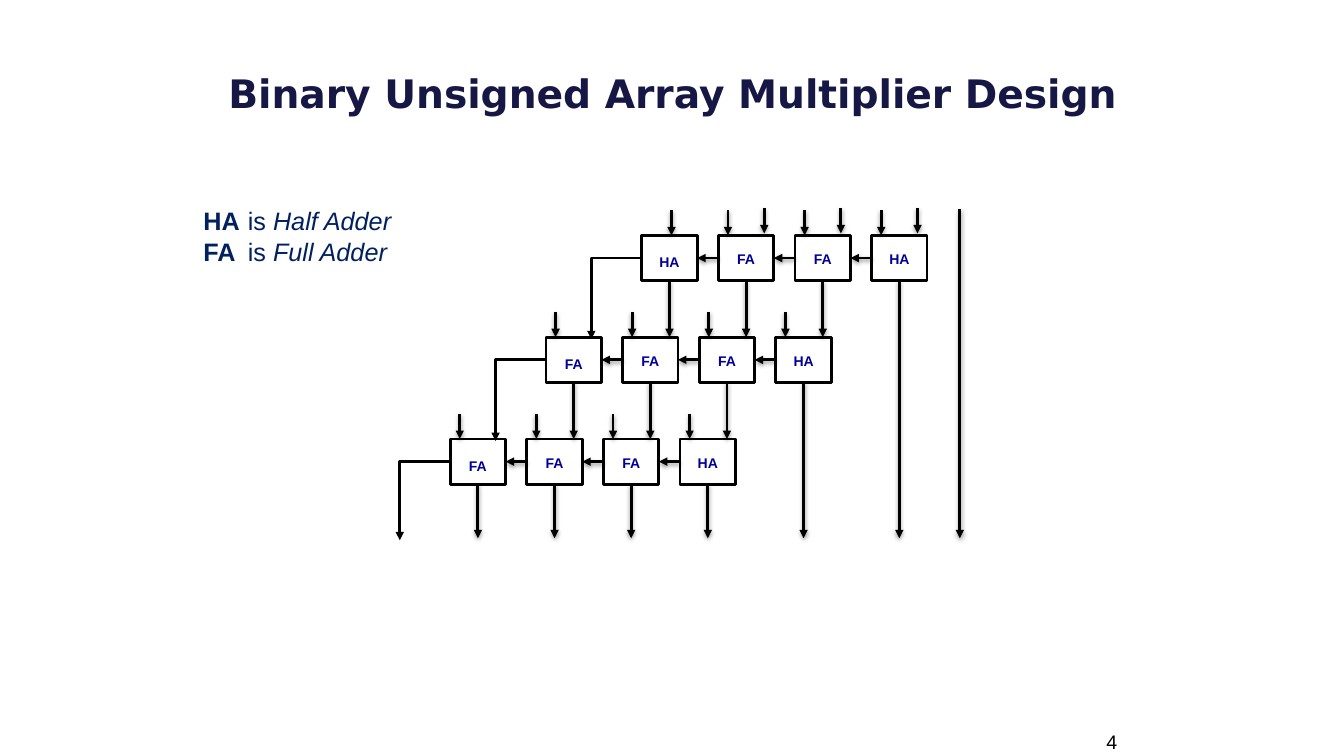
import lxml.etree
import pptx
import pptx.dml.color
import pptx.enum.shapes
import pptx.enum.text
import pptx.oxml.ns
import pptx.util

Inches = pptx.util.Inches
Pt = pptx.util.Pt
qn = pptx.oxml.ns.qn
Align = pptx.enum.text.PP_ALIGN
Anchor = pptx.enum.text.MSO_ANCHOR
Link = pptx.enum.shapes.MSO_CONNECTOR


def color(code):
    return pptx.dml.color.RGBColor.from_string(code)


def child(parent, tag, **attrs):
    return lxml.etree.SubElement(parent, qn(tag), **attrs)


class Sketch:
    font = "Arial"
    ink = "000000"
    label = "000099"
    weight = 2

    def __init__(self, slide):
        self.slide = slide

    def run(self, para, words, size, code, bold=False, italic=False, font=None):
        run = para.add_run()
        run.text = words
        run.font.name = font or self.font
        run.font.size = Pt(size)
        run.font.bold = bold
        run.font.italic = italic
        run.font.color.rgb = color(code)

    def text(self, x, y, w, h, lines, align=Align.LEFT, anchor=Anchor.TOP,
             wrap=True, tab=None):
        """Each line is a list of argument tuples for run()."""
        box = self.slide.shapes.add_textbox(Inches(x), Inches(y), Inches(w), Inches(h))
        frame = box.text_frame
        frame.word_wrap = wrap
        frame.vertical_anchor = anchor
        for i, line in enumerate(lines):
            para = frame.paragraphs[0] if i == 0 else frame.add_paragraph()
            para.alignment = align
            if tab:
                stops = child(para._p.get_or_add_pPr(), "a:tabLst")
                child(stops, "a:tab", pos=str(Inches(tab)), algn="l")
            for args in line:
                self.run(para, *args)

    def adder(self, x, y, w, h, name, drop):
        """Box centred on x, y; drop lowers its label."""
        box = self.slide.shapes.add_shape(
            pptx.enum.shapes.MSO_SHAPE.RECTANGLE,
            Inches(x - w / 2), Inches(y - h / 2), Inches(w), Inches(h))
        box.shadow.inherit = False
        box.fill.background()
        box.line.color.rgb = color(self.ink)
        box.line.width = Pt(self.weight)
        frame = box.text_frame
        frame.margin_left = frame.margin_right = frame.margin_bottom = 0
        frame.margin_top = Inches(2 * drop)
        frame.vertical_anchor = Anchor.MIDDLE
        frame.paragraphs[0].alignment = Align.CENTER
        self.run(frame.paragraphs[0], name, 10, self.label, True)
        return box

    def wire(self, x1, y1, x2, y2, kind=Link.STRAIGHT, shade=True):
        wire = self.slide.shapes.add_connector(
            kind, Inches(x1), Inches(y1), Inches(x2), Inches(y2))
        wire.line.color.rgb = color(self.ink)
        wire.line.width = Pt(self.weight)
        props = wire.element.spPr
        child(props.find(qn("a:ln")), "a:tailEnd", type="triangle")
        effects = child(props, "a:effectLst")
        if shade:
            shadow = child(effects, "a:outerShdw", blurRad=str(Pt(3.1)),
                           dist=str(Pt(1.6)), dir="5400000", rotWithShape="0")
            tint = child(shadow, "a:srgbClr", val=self.ink)
            child(tint, "a:alpha", val="38000")
        return wire

    def bend(self, x1, y1, x2, y2):
        """One-corner arrow going left, then down."""
        wire = self.wire(x1, y1, x2, y2, Link.ELBOW, False)
        props = wire.element.spPr
        props.find(qn("a:prstGeom")).set("prst", "bentConnector2")
        frame = props.find(qn("a:xfrm"))
        frame.attrib.pop("flipH", None)
        frame.set("rot", "10800000")
        frame.set("flipV", "1")


# Grid of adders: each row shifts left and down
ROWS = [["HA", "FA", "FA", "HA"], ["HA", "FA", "FA", "FA"], ["HA", "FA", "FA", "FA"]]
LEFT, TOP = 8.92, 2.56
STEP, SHIFT, DROP = 0.76, 0.95, 1.01
WIDE, HIGH = 0.55, 0.45
PORT = 0.18     # offset of an input from the box centre
STUB = 0.25     # length of an input arrow
FLOOR = 5.34    # where the product bits end


def draw_array(art):
    for r, names in enumerate(ROWS):
        y = TOP + r * DROP
        top, bottom = y - HIGH / 2, y + HIGH / 2
        final = r == len(ROWS) - 1
        below = FLOOR if final else top + DROP
        prior = None
        for c, name in enumerate(names):
            x = LEFT - r * SHIFT - c * STEP
            last = c == len(names) - 1
            box = art.adder(x, y, WIDE, HIGH, name, 0.04 if last else 0.01)

            # Operand inputs
            if r == 0 and last:
                ports = [0.02]
            elif r == 0:
                ports = [-PORT, PORT]
            else:
                ports = [-PORT]
            for port in ports:
                lift = 0.02 if port == PORT else 0
                art.wire(x + port, top - STUB - lift, x + port, top - lift)

            # Carry from the box on the right
            if prior:
                carry = art.wire(x + STEP - WIDE / 2, y, x + WIDE / 2, y)
                carry.begin_connect(prior, 1)
                carry.end_connect(box, 3)
            prior = box

            # Sum output
            total = art.wire(x, bottom, x, FLOOR if c == 0 else below)
            total.begin_connect(box, 2)

        # Carry out of the row
        edge = x - WIDE / 2
        art.bend(edge, y, edge - 0.5, below + 0.02)

    # Lowest product bit
    art.wire(9.52, 2.07, 9.52, FLOOR)


def main():
    deck = pptx.Presentation()
    deck.slide_width, deck.slide_height = Inches(13.33), Inches(7.5)
    art = Sketch(deck.slides.add_slide(deck.slide_layouts[6]))

    # Title and page number
    art.text(0.67, 0.3, 12, 1.25,
             [[("Binary Unsigned Array Multiplier Design", 28, "171745",
                True, False, "DejaVu Sans")]],
             Align.CENTER, Anchor.MIDDLE)
    art.text(8.85, 7.19, 2.33, 0.3, [[("4", 14, "000000")]], Align.RIGHT)

    draw_array(art)

    # Legend
    navy = "002060"
    terms = [("HA", "Half Adder"), ("FA", "Full Adder")]
    art.text(1.92, 1.99, 2.07, 0.71,
             [[(short, 18, navy, True), ("\tis ", 18, navy),
               (full, 18, navy, False, True)] for short, full in terms],
             wrap=False, tab=0.44)

    deck.save("out.pptx")


if __name__ == "__main__":
    main()
